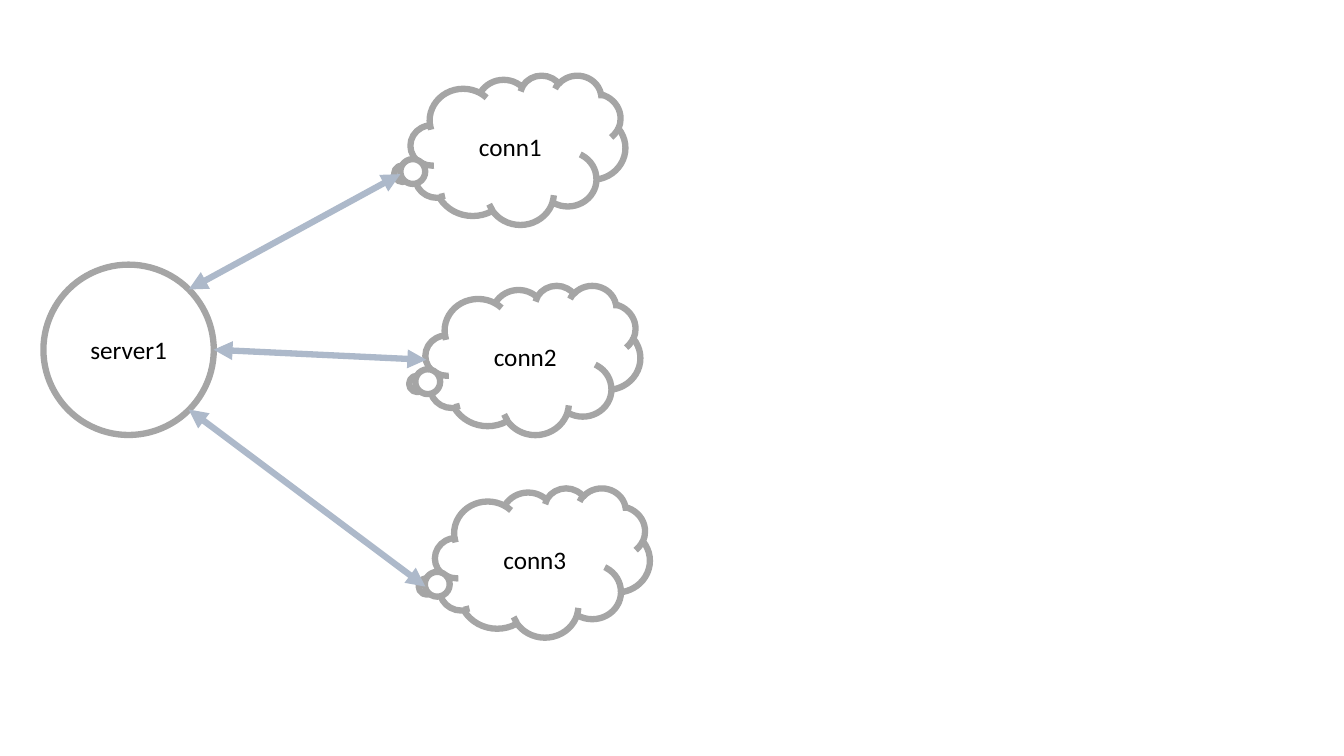
from dataclasses import dataclass
from lxml.etree import SubElement
from pptx import Presentation
from pptx.dml.color import RGBColor
from pptx.enum.shapes import MSO_CONNECTOR, MSO_SHAPE
from pptx.enum.text import MSO_ANCHOR, PP_ALIGN
from pptx.oxml.ns import qn
from pptx.util import Pt


@dataclass
class Theme:
    fill = RGBColor(0xFF, 0xFF, 0xFF)
    edge = RGBColor(0xA5, 0xA5, 0xA5)
    arrow = RGBColor(0xAD, 0xB9, 0xCA)
    ink = RGBColor(0, 0, 0)
    font = "Calibri"
    size = Pt(18)
    width = Pt(4.5)


theme = Theme()
deck = Presentation()
deck.slide_width, deck.slide_height = Pt(960), Pt(540)
slide = deck.slides.add_slide(deck.slide_layouts[6])
shapes = slide.shapes.add_group_shape().shapes


def add_node(kind, text, left, top, width, height):
    node = shapes.add_shape(kind, Pt(left), Pt(top), Pt(width), Pt(height))
    node.shadow.inherit = False
    node.fill.solid()
    node.fill.fore_color.rgb = theme.fill
    node.line.color.rgb = theme.edge
    node.line.width = theme.width
    frame = node.text_frame
    frame.vertical_anchor = MSO_ANCHOR.MIDDLE
    label = frame.paragraphs[0]
    label.text = text
    label.alignment = PP_ALIGN.CENTER
    label.font.name = theme.font
    label.font.size = theme.size
    label.font.color.rgb = theme.ink
    return node


def add_arrow(start, end):
    arrow = shapes.add_connector(MSO_CONNECTOR.STRAIGHT, *map(Pt, start + end))
    arrow.line.color.rgb = theme.arrow
    arrow.line.width = theme.width
    line = arrow.line._get_or_add_ln()
    for tag in ("a:headEnd", "a:tailEnd"):
        SubElement(line, qn(tag), type="triangle")
    SubElement(arrow._element.spPr, qn("a:effectLst"))


add_node(MSO_SHAPE.OVAL, "server1", 31, 189, 121.7, 121.7)

clouds = [(293.3, 53.7), (304, 203.8), (310.8, 348.5)]
for index, (left, top) in enumerate(clouds, 1):
    cloud = add_node(MSO_SHAPE.CLOUD_CALLOUT, f"conn{index}", left, top, 153.4, 106.6)
    cloud.adjustments[0] = -0.548
    cloud.adjustments[1] = 0.163

links = [
    ((134.8, 206.8), (286, 124.4)),
    ((152.6, 249.8), (304.5, 257)),
    ((134.8, 292.5), (303.8, 419)),
]
for start, end in links:
    add_arrow(start, end)

deck.save("out.pptx")
